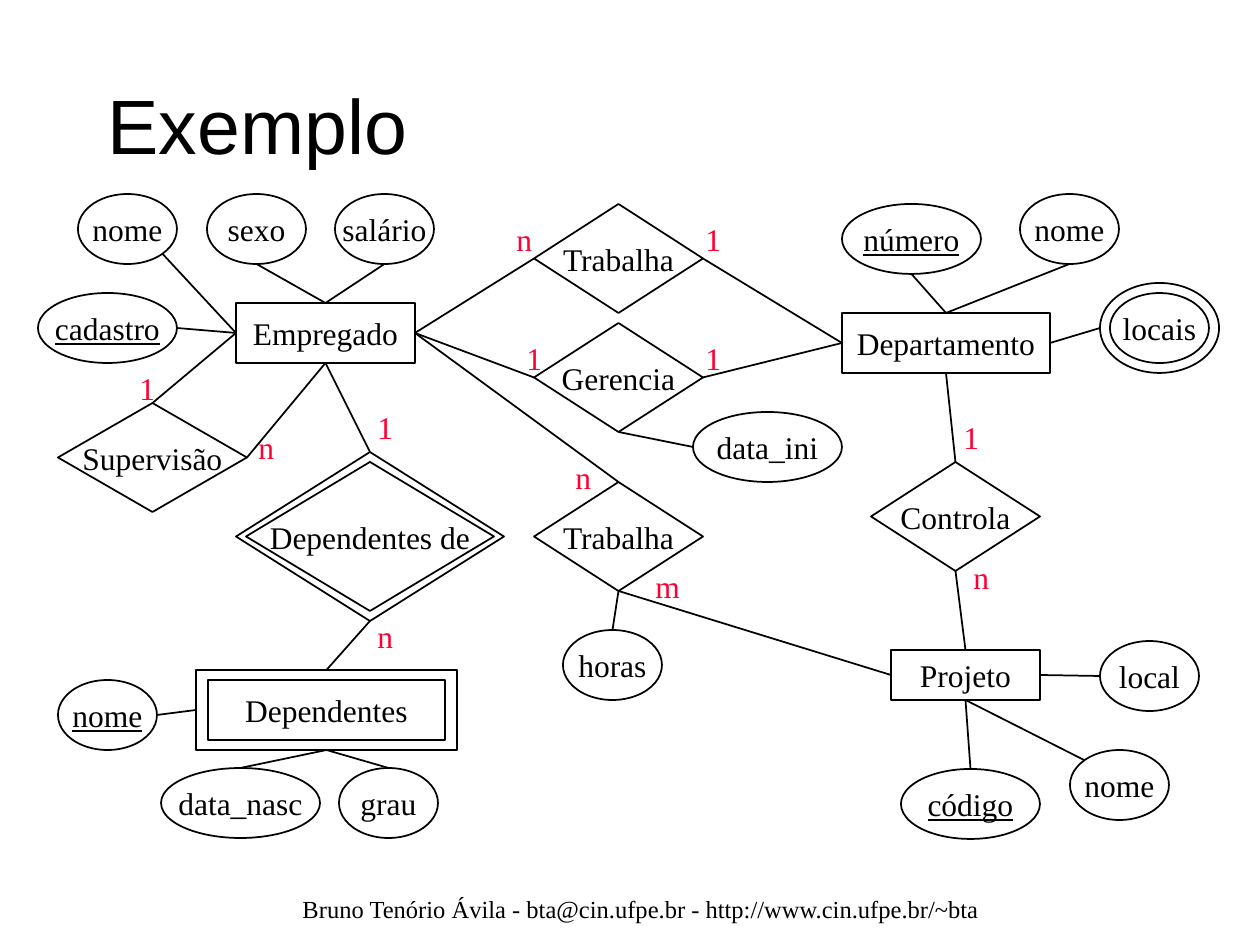
import math

from pptx import Presentation
from pptx import util as u
from pptx.dml.color import RGBColor
from pptx.enum import shapes, text
from pptx.oxml.ns import qn

EMU_PER_PX = 914400 / 126
COLORS = {"ink": "000000", "cardinality": "FF0033"}
RECT = shapes.MSO_SHAPE.RECTANGLE
OVAL = shapes.MSO_SHAPE.OVAL
DIAMOND = shapes.MSO_SHAPE.DIAMOND
TOP, LEFT, BOTTOM, RIGHT = range(4)
# Unit direction from a shape's centre to each point a line may leave from
DIAGONAL = math.sqrt(0.5)
DIRECTIONS = {
    TOP: (0, -1), LEFT: (-1, 0), BOTTOM: (0, 1), RIGHT: (1, 0),
    "top-left": (-DIAGONAL, -DIAGONAL), "bottom-right": (DIAGONAL, DIAGONAL),
}


def px(n):
    return u.Emu(round(n * EMU_PER_PX))


class Diagram:
    """Style and current slide of an entity-relationship diagram."""

    font, size, line_width = "Times New Roman", 18, 1

    def __init__(self, slide):
        self.slide = slide

    def add_text(self, tf, content, color="ink", size=None, font=None,
                 align=text.PP_ALIGN.LEFT, underline=None):
        p = tf.paragraphs[0]
        p.alignment = align
        r = p.add_run()
        r.text = content
        r.font.name = font or self.font
        r.font.size = u.Pt(size or self.size)
        r.font.underline = underline
        r.font.color.rgb = RGBColor.from_string(COLORS[color])

    def stroke(self, line):
        line.color.rgb = RGBColor.from_string(COLORS["ink"])
        line.width = u.Pt(self.line_width)

    def title(self, content, x, y, w, h):
        sp = self.slide.shapes.title
        sp.left, sp.top, sp.width, sp.height = map(px, (x, y, w, h))
        sp.text_frame.vertical_anchor = text.MSO_ANCHOR.MIDDLE
        self.add_text(sp.text_frame, content, size=44, font="Arial")

    def textbox(self, content, x, y, w, h, **style):
        tf = self.slide.shapes.add_textbox(*map(px, (x, y, w, h))).text_frame
        tf.word_wrap = True
        self.add_text(tf, content, **style)
        return tf

    def cardinality(self, content, x, y):
        self.textbox(content, x, y, 89, 50, color="cardinality")

    def node(self, kind, content, x, y, w, h, key=False, parent=None):
        sp = (parent or self.slide).shapes.add_shape(kind, *map(px, (x, y, w, h)))
        sp.shadow.inherit = False
        sp.fill.background()
        self.stroke(sp.line)
        if content:
            tf = sp.text_frame
            tf.word_wrap = False
            tf.vertical_anchor = text.MSO_ANCHOR.MIDDLE
            self.add_text(tf, content, align=text.PP_ALIGN.CENTER,
                          underline=key or None)
        return sp

    def double(self, kind, content, x, y, w, h, dx=10, dy=10):
        """Group an outline with a labelled shape inset in it; return the outline."""
        group = self.slide.shapes.add_group_shape()
        self.node(kind, content, x + dx, y + dy, w - 2 * dx, h - 2 * dy, parent=group)
        return self.node(kind, "", x, y, w, h, parent=group)

    def entity(self, content, x, y, w, h=60):
        return self.node(RECT, content, x, y, w, h)

    def attribute(self, content, x, y, w=99, key=False):
        return self.node(OVAL, content, x, y, w, 70, key)

    def relationship(self, content, x, y, w=169):
        return self.node(DIAMOND, content, x, y, w, 109)

    def link(self, start, start_side, end, end_side):
        points = []
        for sp, side in ((start, start_side), (end, end_side)):
            dx, dy = DIRECTIONS[side]
            points += [u.Emu(round(sp.left + sp.width * (1 + dx) / 2)),
                       u.Emu(round(sp.top + sp.height * (1 + dy) / 2))]
        line = self.slide.shapes.add_connector(shapes.MSO_CONNECTOR.STRAIGHT, *points)
        self.stroke(line.line)
        properties = line._element.spPr
        properties.append(properties.makeelement(qn("a:effectLst"), {}))
        if start.auto_shape_type != OVAL:
            line.begin_connect(start, start_side)
        if end.auto_shape_type != OVAL:
            line.end_connect(end, end_side)


def main():
    prs = Presentation()
    prs.slide_width, prs.slide_height = u.Inches(10), u.Inches(7.5)
    d = Diagram(prs.slides.add_slide(prs.slide_layouts[5]))
    d.title("Exemplo", 95, 45, 1114, 158)

    employee = d.entity("Empregado", 236, 303, 179)
    department = d.entity("Departamento", 842, 313, 208)
    project = d.entity("Projeto", 891, 650, 149, 50)
    dependents = d.double(RECT, "Dependentes", 196, 670, 261, 80, dx=12)

    works_in = d.relationship("Trabalha", 534, 204)
    manages = d.relationship("Gerencia", 534, 323)
    works_on = d.relationship("Trabalha", 534, 482)
    controls = d.relationship("Controla", 871, 462)
    supervises = d.relationship("Supervisão", 58, 403, 189)
    dependents_of = d.double(DIAMOND, "Dependentes de", 236, 452, 268, 169)

    locations = d.double(OVAL, "locais", 1100, 283, 119, 90)
    d.link(locations, LEFT, department, RIGHT)

    # Label, x, y, width, key, side the line leaves, owner, side it reaches
    attributes = [
        ("cadastro", 38, 293, 139, True, RIGHT, employee, LEFT),
        ("nome", 78, 194, 99, False, "bottom-right", employee, LEFT),
        ("sexo", 207, 194, 99, False, BOTTOM, employee, TOP),
        ("salário", 335, 194, 99, False, BOTTOM, employee, TOP),
        ("número", 842, 204, 139, True, BOTTOM, department, TOP),
        ("nome", 1020, 194, 99, False, BOTTOM, department, TOP),
        ("código", 901, 769, 139, True, TOP, project, BOTTOM),
        ("nome", 1070, 750, 99, False, "top-left", project, BOTTOM),
        ("local", 1100, 641, 99, False, LEFT, project, RIGHT),
        ("nome", 58, 680, 99, True, RIGHT, dependents, LEFT),
        ("data_nasc", 161, 768, 159, False, TOP, dependents, BOTTOM),
        ("grau", 339, 768, 99, False, TOP, dependents, BOTTOM),
        ("horas", 563, 630, 99, False, TOP, works_on, BOTTOM),
        ("data_ini", 693, 412, 149, False, LEFT, manages, BOTTOM),
    ]
    for content, x, y, w, key, side, owner, owner_side in attributes:
        d.link(d.attribute(content, x, y, w, key), side, owner, owner_side)

    # Relationship end, entity end, then the cardinality and its place
    roles = [
        (works_in, LEFT, employee, RIGHT, "n", 504, 214),
        (works_in, RIGHT, department, LEFT, "1", 693, 214),
        (manages, LEFT, employee, RIGHT, "1", 514, 333),
        (manages, RIGHT, department, LEFT, "1", 693, 333),
        (supervises, TOP, employee, LEFT, "1", 127, 363),
        (supervises, RIGHT, employee, BOTTOM, "n", 246, 422),
        (dependents_of, TOP, employee, BOTTOM, "1", 365, 402),
        (dependents_of, BOTTOM, dependents, TOP, "n", 365, 611),
        (works_on, TOP, employee, RIGHT, "n", 563, 452),
        (works_on, BOTTOM, project, LEFT, "m", 643, 561),
        (controls, TOP, department, BOTTOM, "1", 951, 412),
        (controls, BOTTOM, project, TOP, "n", 961, 552),
    ]
    for relationship, side, entity, entity_side, content, x, y in roles:
        d.link(relationship, side, entity, entity_side)
        d.cardinality(content, x, y)

    footer = d.textbox(
        "Bruno Tenório Ávila - bta@cin.ufpe.br - http://www.cin.ufpe.br/~bta",
        95, 877, 1092, 63, size=14, align=text.PP_ALIGN.CENTER)
    footer.vertical_anchor = text.MSO_ANCHOR.MIDDLE
    prs.save("out.pptx")


if __name__ == "__main__":
    main()
